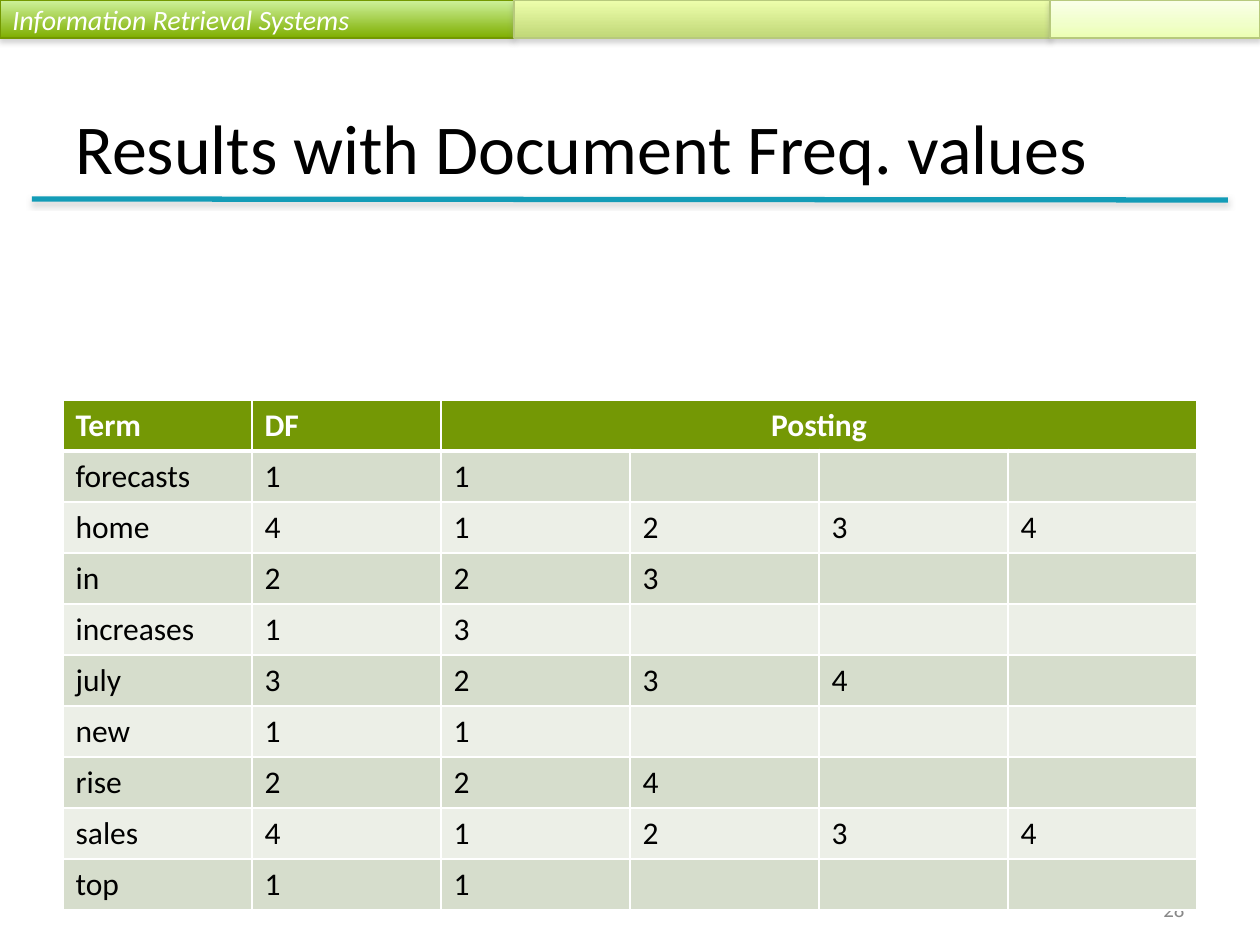
from dataclasses import dataclass

from lxml.etree import SubElement
from pptx import Presentation
from pptx.dml.color import RGBColor
from pptx.enum.shapes import MSO_CONNECTOR, MSO_SHAPE
from pptx.enum.text import MSO_ANCHOR, PP_ALIGN
from pptx.oxml.ns import qn
from pptx.util import Emu, Pt

PIXELS_PER_INCH = 126
FONT = "Calibri"
HEADER_FILL = "749805"
BAND_FILLS = ("D6DDCC", "ECEFE7")
POSTING_COLUMNS = 4


@dataclass(frozen=True)
class Bar:
    left: int
    right: int
    stops: tuple[tuple[int, str], ...]
    line: str
    text: str = ""


@dataclass(frozen=True)
class Term:
    name: str
    postings: tuple[int, ...]


BARS = (
    Bar(0, 514, ((0, "CEF29D"), (100, "7FAE00")), "739801", "Information Retrieval Systems"),
    Bar(514, 1050, ((0, "EEFFAC"), (100, "C0D777")), "B7C97D"),
    Bar(1050, 1260, ((0, "FAFFE9"), (65, "F0FFC9"), (100, "ECFFB3")), "B7C97D"),
)
TERMS = (
    Term("forecasts", (1,)),
    Term("home", (1, 2, 3, 4)),
    Term("in", (2, 3)),
    Term("increases", (3,)),
    Term("july", (2, 3, 4)),
    Term("new", (1,)),
    Term("rise", (2, 4)),
    Term("sales", (1, 2, 3, 4)),
    Term("top", (1,)),
)


def px(length: int) -> Emu:
    return Emu(round(length * 914400 / PIXELS_PER_INCH))


def color(value: str) -> RGBColor:
    return RGBColor.from_string(value)


def write_text(frame, text: str, *, size: int = 18, fill: str = "000000",
               bold: bool = False, italic: bool = False,
               align=PP_ALIGN.LEFT, anchor=MSO_ANCHOR.MIDDLE) -> None:
    frame.word_wrap = True
    frame.vertical_anchor = anchor
    paragraph = frame.paragraphs[0]
    paragraph.alignment = align
    run = paragraph.add_run()
    run.text = text
    font = run.font
    font.name, font.size = FONT, Pt(size)
    font.bold, font.italic = bold, italic
    font.color.rgb = color(fill)


def add_color(parent, value: str):
    return SubElement(parent, qn("a:srgbClr"), val=value)


def add_shadow(shape, distance: float, opacity: int) -> None:
    effects = SubElement(shape._element.spPr, qn("a:effectLst"))
    shadow = SubElement(effects, qn("a:outerShdw"), blurRad=str(Pt(3.1)),
                        dist=str(Pt(distance)), dir="5400000", rotWithShape="0")
    SubElement(add_color(shadow, "808080"), qn("a:alpha"), val=str(opacity * 1000))


def add_bar(slide, bar: Bar) -> None:
    shape = slide.shapes.add_shape(MSO_SHAPE.RECTANGLE, px(bar.left), 0,
                                   px(bar.right - bar.left), px(38))
    shape.fill.gradient()
    shape.fill.gradient_angle = 270
    stop_list = shape._element.spPr.find(qn("a:gradFill")).find(qn("a:gsLst"))
    stop_list.clear()
    for position, value in bar.stops:
        add_color(SubElement(stop_list, qn("a:gs"), pos=str(position * 1000)), value)
    shape.line.color.rgb = color(bar.line)
    shape.line.width = Pt(0.75)
    add_shadow(shape, 1.8, 35)
    if bar.text:
        write_text(shape.text_frame, bar.text, size=16, fill="FFFFFF", italic=True)


def add_rule(slide) -> None:
    rule = slide.shapes.add_connector(MSO_CONNECTOR.STRAIGHT,
                                      px(32), px(199), px(1228), px(200))
    rule.line.color.rgb = color("139CB7")
    rule.line.width = Pt(3)
    add_shadow(rule, 1.6, 38)


def add_label(slide, text: str, left: int, top: int, width: int, height: int,
              **text_format) -> None:
    box = slide.shapes.add_textbox(px(left), px(top), px(width), px(height))
    write_text(box.text_frame, text, **text_format)


def style_cell(cell, fill: str, top: int, bottom: int) -> None:
    cell.fill.solid()
    cell.fill.fore_color.rgb = color(fill)
    properties = cell._tc.get_or_add_tcPr()
    widths = {"lnL": 1, "lnR": 1, "lnT": top, "lnB": bottom}
    for index, (side, width) in enumerate(widths.items()):
        border = SubElement(properties, qn(f"a:{side}"), w=str(Pt(width)))
        add_color(SubElement(border, qn("a:solidFill")), "FFFFFF")
        properties.insert(index, border)


def add_index_table(slide) -> None:
    row_count, column_count = len(TERMS) + 1, POSTING_COLUMNS + 2
    row_height, column_width = 51, 189
    table = slide.shapes.add_table(row_count, column_count, px(63), px(400),
                                   px(column_width * column_count),
                                   px(row_height * row_count)).table

    # Fills and borders, with a thicker rule below the header
    for row in range(row_count):
        fill = BAND_FILLS[(row - 1) % 2] if row else HEADER_FILL
        for column in range(column_count):
            style_cell(table.cell(row, column), fill,
                       top=3 if row == 1 else 1, bottom=1 if row else 3)

    # Header
    table.cell(0, 2).merge(table.cell(0, column_count - 1))
    for column, heading in enumerate(("Term", "DF", "Posting")):
        write_text(table.cell(0, column).text_frame, heading, fill="FFFFFF", bold=True,
                   align=PP_ALIGN.CENTER if column == 2 else PP_ALIGN.LEFT,
                   anchor=MSO_ANCHOR.TOP)

    # Terms: the document frequency is the number of postings
    for row, term in enumerate(TERMS, start=1):
        values = (term.name, len(term.postings), *term.postings)
        for column, value in enumerate(values):
            write_text(table.cell(row, column).text_frame, str(value),
                       anchor=MSO_ANCHOR.TOP)


def main() -> None:
    presentation = Presentation()
    presentation.slide_width, presentation.slide_height = px(1260), px(945)
    slide = presentation.slides.add_slide(presentation.slide_layouts[6])

    # Top band and title
    for bar in BARS:
        add_bar(slide, bar)
    add_rule(slide)
    add_label(slide, "Results with Document Freq. values", 63, 38, 1134, 157,
              size=40, anchor=MSO_ANCHOR.BOTTOM)

    # Page number sits behind the table
    add_label(slide, "28", 903, 892, 294, 34, size=12, fill="898989",
              align=PP_ALIGN.RIGHT)
    add_index_table(slide)

    presentation.save("out.pptx")


if __name__ == "__main__":
    main()
